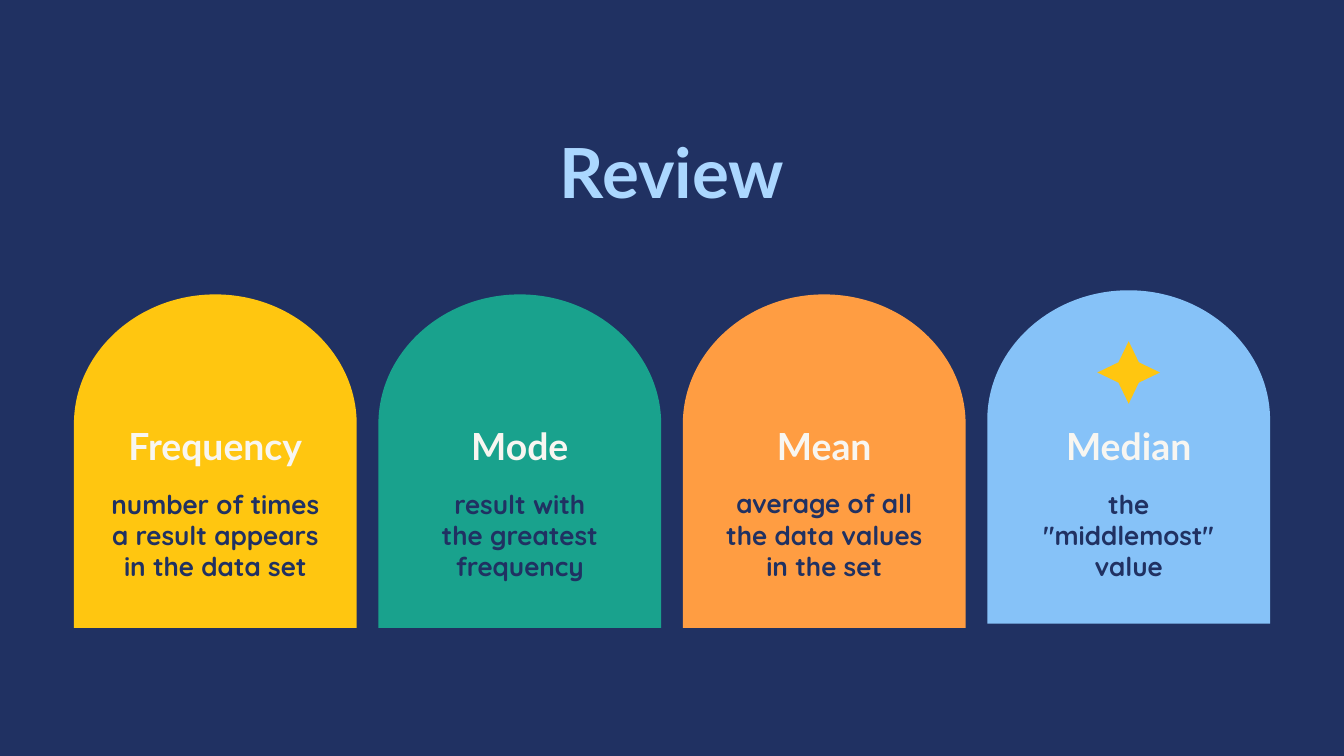
"""Build a review slide with four arched definition cards."""
from lxml import etree
from pptx import Presentation
from pptx.dml.color import RGBColor
from pptx.enum.shapes import MSO_SHAPE
from pptx.enum.text import MSO_AUTO_SIZE, PP_ALIGN
from pptx.oxml.ns import qn
from pptx.util import Pt

CENTER = PP_ALIGN.CENTER
STAR = MSO_SHAPE.STAR_4_POINT
GROW = MSO_AUTO_SIZE.SHAPE_TO_FIT_TEXT

COLORS = {
    "navy": "203162", "sky": "ABD7FF", "cream": "F8F6F1", "yellow": "FFC610",
    "green": "19A28D", "orange": "FF9D42", "blue": "86C2F8",
}
TITLE = "Review"
CARDS = [
    ("Frequency", ["number of times a result appears in the data set"], "yellow", 315.4, 523, 226.8),
    ("Mode", ["result with the greatest frequency"], "green", 315.4, 523, 178.6),
    ("Mean", ["average of all the data values in the set"], "orange", 315.4, 522.5, 218.9),
    ("Median", ['the "middlemost"', "value"], "blue", 311, 523, 203.8),
]

SLIDE_W, SLIDE_H = 1440, 810
CARD_LEFT, CARD_PITCH, CARD_W, CARD_H = 79.2, 326.2, 303, 357.2
DOME_H, CURVE = 139, 0.55
HEADING_TOP, HEADING_W, HEADING_H = 453.5, 256.4, 56
BODY_H = 100
STAR_TOP, STAR_SIZE = 365.6, 67


def rgb(name):
    return RGBColor.from_string(COLORS[name])


def paint(sp, color):
    sp.shadow.inherit = False
    sp.fill.solid()
    sp.fill.fore_color.rgb = rgb(color)
    sp.line.fill.background()


def bend(line, points):
    curve = etree.Element(qn("a:cubicBezTo"))
    for x, y in points:
        etree.SubElement(curve, qn("a:pt"), x=str(Pt(x)), y=str(Pt(y)))
    line.getparent().replace(line, curve)


def add_arch(s, center, top, color):
    radius = CARD_W / 2
    left, right = center - radius, center + radius
    shoulder, bottom = top + DOME_H, top + CARD_H
    outline = [(left, shoulder), (center, top), (right, shoulder), (right, bottom), (left, bottom)]
    points = [(Pt(x), Pt(y)) for x, y in outline]
    builder = s.shapes.build_freeform(*points[0])
    builder.add_line_segments(points[1:], close=True)
    sp = builder.convert_to_shape()
    rise, run = DOME_H * (1 - CURVE), radius * CURVE
    lines = list(sp.element.iter(qn("a:lnTo")))
    bend(lines[0], [(0, rise), (radius - run, 0), (radius, 0)])
    bend(lines[1], [(radius + run, 0), (CARD_W, rise), (CARD_W, DOME_H)])
    paint(sp, color)


def add_text(s, center, top, width, height, lines, font, size, color):
    sp = s.shapes.add_textbox(Pt(center - width / 2), Pt(top), Pt(width), Pt(height))
    tf = sp.text_frame
    tf.word_wrap = True
    tf.auto_size = GROW
    tf.margin_left = tf.margin_top = tf.margin_right = tf.margin_bottom = 0
    tf.text = "\n".join(lines)
    for p in tf.paragraphs:
        p.alignment = CENTER
        p.line_spacing = Pt(size * 1.2)
        for r in p.runs:
            r.font.name = font
            r.font.size = Pt(size)
            r.font.bold = True
            r.font.color.rgb = rgb(color)


def main():
    prs = Presentation()
    prs.slide_width, prs.slide_height = Pt(SLIDE_W), Pt(SLIDE_H)
    s = prs.slides.add_slide(prs.slide_layouts[6])
    s.background.fill.solid()
    s.background.fill.fore_color.rgb = rgb("navy")

    add_text(s, SLIDE_W / 2, 138.2, 828, 105, [TITLE], "Lato", 74, "sky")
    for i, (heading, body, color, top, body_top, body_w) in enumerate(CARDS):
        center = CARD_LEFT + i * CARD_PITCH + CARD_W / 2
        add_arch(s, center, top, color)
        add_text(s, center, HEADING_TOP, HEADING_W, HEADING_H, [heading], "Lato", 40, "cream")
        add_text(s, center, body_top, body_w, BODY_H, body, "Quicksand", 28, "navy")

    star = s.shapes.add_shape(
        STAR, Pt(center - STAR_SIZE / 2), Pt(STAR_TOP), Pt(STAR_SIZE), Pt(STAR_SIZE))
    star.adjustments[0] = 0.23
    paint(star, "yellow")
    prs.save("out.pptx")


if __name__ == "__main__":
    main()
